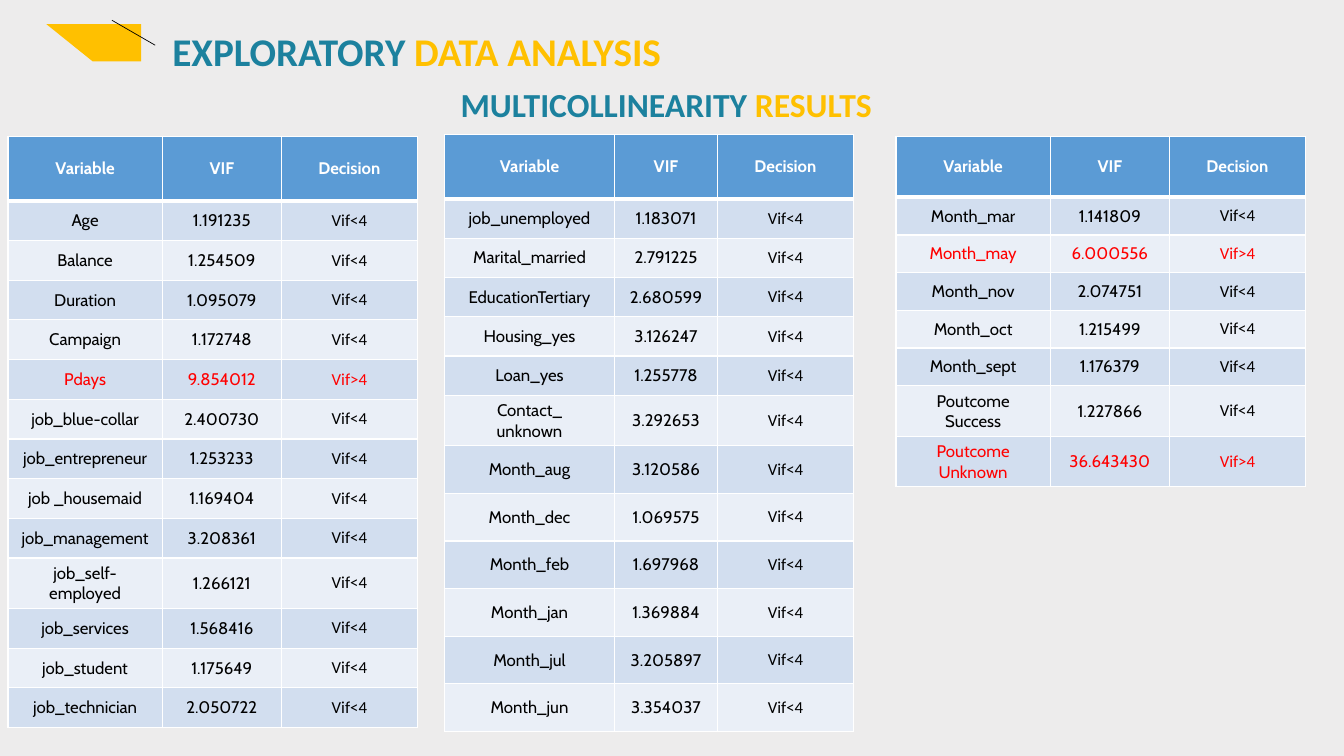
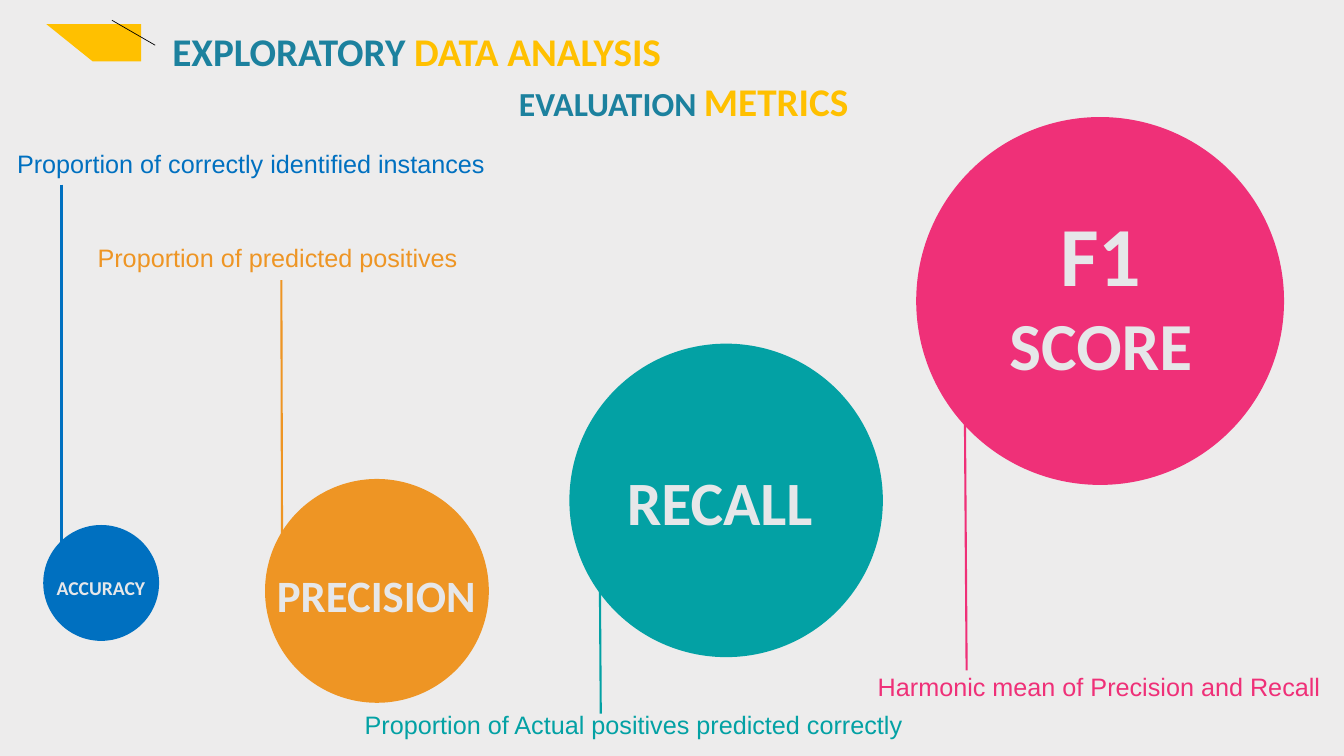
from dataclasses import dataclass

import pptx
import pptx.dml.color
import pptx.enum.shapes
import pptx.enum.text
import pptx.oxml
import pptx.oxml.ns
import pptx.util
from pptx.util import Cm

ALIGN = pptx.enum.text.PP_ALIGN
ANCHOR = pptx.enum.text.MSO_ANCHOR
SHAPE = pptx.enum.shapes.MSO_SHAPE


@dataclass(frozen=True)
class Theme:
    background: str = "EDECEC"
    blue: str = "1C819E"
    gold: str = "FFC000"
    black: str = "000000"
    white: str = "FFFFFF"
    alert: str = "FF0000"
    table_header: str = "5B9BD5"
    table_bands: tuple[str, str] = ("D2DEEF", "EAEFF7")
    circle_text: str = "E6E7E9"
    heading_font: str = "Calibri"
    table_font: str = "Cabin"
    caption_font: str = "Arial"
    title_size: int = 28
    subtitle_size: int = 24
    caption_size: int = 18
    table_size: int = 12


THEME = Theme()
VIF_LIMIT = 4


@dataclass(frozen=True)
class Box:
    """A place on the slide, in centimetres."""
    left: float
    top: float
    width: float
    height: float

    def lengths(self) -> tuple[Cm, Cm, Cm, Cm]:
        return Cm(self.left), Cm(self.top), Cm(self.width), Cm(self.height)


@dataclass(frozen=True)
class Span:
    text: str
    color: str
    size: int


@dataclass(frozen=True)
class VifTable:
    left: float
    top: float
    columns: tuple[float, ...]
    heights: tuple[float, ...]
    readings: tuple[tuple[str, str], ...]


@dataclass(frozen=True)
class Metric:
    label: tuple[tuple[str, int], ...]
    color: str
    circle: Box
    label_box: Box
    caption: str
    caption_box: Box
    stem: tuple[float, float, float, float]


TITLE_BOX = Box(4.09, 0.56, 12.98, 1.45)
WIDE_VALUES = (3.89, 3.0, 3.43)
WIDE_NAMES = (4.29, 2.59, 3.43)

VIF_TABLES = (
    VifTable(0.2, 3.43, WIDE_VALUES, (1.63, *[1.0] * 9, 1.27, *[1.0] * 3), (
        ("Age", "1.191235"),
        ("Balance", "1.254509"),
        ("Duration", "1.095079"),
        ("Campaign", "1.172748"),
        ("Pdays", "9.854012"),
        ("job_blue-collar", "2.400730"),
        ("job_entrepreneur", "1.253233"),
        ("job _housemaid", "1.169404"),
        ("job_management", "3.208361"),
        ("job_self-employed", "1.266121"),
        ("job_services", "1.568416"),
        ("job_student", "1.175649"),
        ("job_technician", "2.050722"),
    )),
    VifTable(11.2, 3.38, WIDE_NAMES, (1.63, *[0.99] * 5, 1.27, *[1.2] * 6), (
        ("job_unemployed", "1.183071"),
        ("Marital_married", "2.791225"),
        ("EducationTertiary", "2.680599"),
        ("Housing_yes", "3.126247"),
        ("Loan_yes", "1.255778"),
        ("Contact_\nunknown", "3.292653"),
        ("Month_aug", "3.120586"),
        ("Month_dec", "1.069575"),
        ("Month_feb", "1.697968"),
        ("Month_jan", "1.369884"),
        ("Month_jul", "3.205897"),
        ("Month_jun", "3.354037"),
    )),
    VifTable(22.58, 3.43, WIDE_VALUES, (1.54, *[0.95] * 5, *[1.27] * 2), (
        ("Month_mar", "1.141809"),
        ("Month_may", "6.000556"),
        ("Month_nov", "2.074751"),
        ("Month_oct", "1.215499"),
        ("Month_sept", "1.176379"),
        ("Poutcome\nSuccess", "1.227866"),
        ("Poutcome\nUnknown", "36.643430"),
    )),
)

METRICS = (
    Metric((("F1", 60), ("SCORE", 48)), "EF3078",
           Box(23.09, 2.95, 9.27, 9.27), Box(24.33, 4.98, 6.83, 4.88),
           "Harmonic mean of Precision and Recall",
           Box(21.87, 16.79, 11.76, 1.02), (24.31, 9.5, 24.36, 16.89)),
    Metric((("RECALL", 44),), "03A1A4",
           Box(14.35, 8.66, 7.9, 7.9), Box(14.38, 11.56, 7.52, 1.98),
           "Proportion of Actual positives predicted correctly",
           Box(8.94, 17.75, 14.2, 1.02), (15.09, 10.59, 15.14, 17.98)),
    Metric((("PRECISION", 32),), "EE9524",
           Box(6.68, 12.07, 5.64, 5.64), Box(6.07, 14.17, 6.83, 1.63),
           "Proportion of predicted positives",
           Box(2.21, 5.99, 9.68, 1.02), (7.09, 7.06, 7.11, 14.45)),
    Metric((("ACCURACY", 14),), "0070C0",
           Box(1.09, 13.23, 2.92, 2.92), Box(0.97, 14.38, 3.15, 0.86),
           "Proportion of correctly identified instances",
           Box(0.18, 3.61, 12.42, 1.02), (1.55, 4.65, 1.55, 14.0)),
)


def rgb(color: str) -> pptx.dml.color.RGBColor:
    return pptx.dml.color.RGBColor.from_string(color)


def paint(target, color: str) -> None:
    target.fill.solid()
    target.fill.fore_color.rgb = rgb(color)


def write(frame, lines: list[list[Span]], font: str, align: ALIGN, bold: bool) -> None:
    """Fill a text frame, one paragraph for each list of spans."""
    for index, spans in enumerate(lines):
        paragraph = frame.paragraphs[0] if index == 0 else frame.add_paragraph()
        paragraph.alignment = align
        paragraph.font.name = font
        paragraph.font.bold = bold
        paragraph.font.size = pptx.util.Pt(spans[0].size)
        for span in spans:
            run = paragraph.add_run()
            run.text = span.text
            run.font.color.rgb = rgb(span.color)
            if span.size != spans[0].size:
                run.font.size = pptx.util.Pt(span.size)


def add_text(shapes, box: Box, lines: list[list[Span]], font: str,
             align: ALIGN = ALIGN.CENTER, bold: bool = True, wrap: bool = True):
    frame = shapes.add_textbox(*box.lengths()).text_frame
    frame.word_wrap = wrap
    write(frame, lines, font, align, bold)
    return frame


def add_line(slide, ends: tuple[float, float, float, float], color: str, width: float) -> None:
    line = slide.shapes.add_connector(
        pptx.enum.shapes.MSO_CONNECTOR.STRAIGHT, *(Cm(end) for end in ends))
    line.line.color.rgb = rgb(color)
    line.line.width = pptx.util.Pt(width)
    line._element.spPr.append(pptx.oxml.parse_xml(
        f"<a:effectLst {pptx.oxml.ns.nsdecls('a')}/>"))


def add_titled_slide(deck):
    """Add a slide with the shared corner ornament and title."""
    slide = deck.slides.add_slide(deck.slide_layouts[5])
    builder = slide.shapes.build_freeform(Cm(2.34), Cm(1.55))
    builder.add_line_segments(
        [(Cm(x), Cm(y)) for x, y in ((1.17, 0.61), (3.56, 0.61), (3.56, 1.55))])
    ornament = builder.convert_to_shape()
    ornament.shadow.inherit = False
    paint(ornament, THEME.gold)
    ornament.line.fill.background()
    add_line(slide, (2.82, 0.51, 3.91, 1.14), THEME.black, 0.5)

    title = slide.shapes.title
    title.left, title.top, title.width, title.height = TITLE_BOX.lengths()
    frame = title.text_frame
    frame.auto_size = pptx.enum.text.MSO_AUTO_SIZE.NONE
    frame.word_wrap = False
    frame.vertical_anchor = ANCHOR.TOP
    write(frame, [[Span("EXPLORATORY ", THEME.blue, THEME.title_size),
                   Span("DATA ANALYSIS", THEME.gold, THEME.title_size)]],
          THEME.heading_font, ALIGN.LEFT, True)
    return slide


def add_subtitle(slide, box: Box, first: str, second: str, second_size: int) -> None:
    frame = add_text(slide.shapes, box,
                     [[Span(first, THEME.blue, THEME.subtitle_size),
                       Span(second, THEME.gold, second_size)]], THEME.heading_font)
    frame.margin_left = frame.margin_top = frame.margin_right = frame.margin_bottom = 0


def set_borders(cell, bottom: int) -> None:
    properties = cell._tc.get_or_add_tcPr()
    for side, width in (("L", 1), ("R", 1), ("T", 1), ("B", bottom)):
        properties.append(pptx.oxml.parse_xml(
            f'<a:ln{side} {pptx.oxml.ns.nsdecls("a")} w="{pptx.util.Pt(width)}">'
            f'<a:solidFill><a:srgbClr val="{THEME.white}"/></a:solidFill></a:ln{side}>'))


def fill_cell(cell, text: str, color: str, fill: str, font: str, header: bool) -> None:
    set_borders(cell, 3 if header else 1)
    paint(cell, fill)
    cell.vertical_anchor = ANCHOR.MIDDLE
    write(cell.text_frame, [[Span(line, color, THEME.table_size)] for line in text.split("\n")],
          font, ALIGN.CENTER, header)


def add_vif_table(slide, content: VifTable) -> None:
    box = Box(content.left, content.top, sum(content.columns), sum(content.heights))
    table = slide.shapes.add_table(
        len(content.heights), len(content.columns), *box.lengths()).table
    for column, width in zip(table.columns, content.columns):
        column.width = Cm(width)
    for row, height in zip(table.rows, content.heights):
        row.height = Cm(height)
    for column, heading in enumerate(("Variable", "VIF", "Decision")):
        fill_cell(table.cell(0, column), heading, THEME.white, THEME.table_header,
                  THEME.table_font, True)
    fonts = (THEME.table_font, THEME.table_font, THEME.heading_font)
    for row, (variable, vif) in enumerate(content.readings, start=1):
        too_high = float(vif) > VIF_LIMIT
        decision = f"Vif{'>' if too_high else '<'}{VIF_LIMIT}"
        color = THEME.alert if too_high else THEME.black
        band = THEME.table_bands[(row - 1) % 2]
        for column, text in enumerate((variable, vif, decision)):
            fill_cell(table.cell(row, column), text, color, band, fonts[column], False)


def add_metric(slide, metric: Metric) -> None:
    group = slide.shapes.add_group_shape()
    circle = group.shapes.add_shape(SHAPE.OVAL, *metric.circle.lengths())
    circle.shadow.inherit = False
    paint(circle, metric.color)
    circle.line.fill.background()
    add_text(group.shapes, metric.label_box,
             [[Span(text, THEME.circle_text, size)] for text, size in metric.label],
             THEME.heading_font)
    add_text(slide.shapes, metric.caption_box,
             [[Span(metric.caption, metric.color, THEME.caption_size)]],
             THEME.caption_font, ALIGN.LEFT, bold=False, wrap=False)
    add_line(slide, metric.stem, metric.color, 1.5)


def main() -> None:
    deck = pptx.Presentation()
    deck.slide_width, deck.slide_height = Cm(33.87), Cm(19.05)
    paint(deck.slide_master.background, THEME.background)

    multicollinearity = add_titled_slide(deck)
    add_subtitle(multicollinearity, Box(6.45, 2.11, 20.68, 1.02),
                 "MULTICOLLINEARITY ", "RESULTS", THEME.subtitle_size)
    for content in VIF_TABLES:
        add_vif_table(multicollinearity, content)

    evaluation = add_titled_slide(deck)
    for metric in METRICS:
        add_metric(evaluation, metric)
    add_subtitle(evaluation, Box(10.03, 1.96, 14.4, 1.19),
                 "EVALUATION ", "METRICS", THEME.title_size)

    deck.save("out.pptx")


if __name__ == "__main__":
    main()
